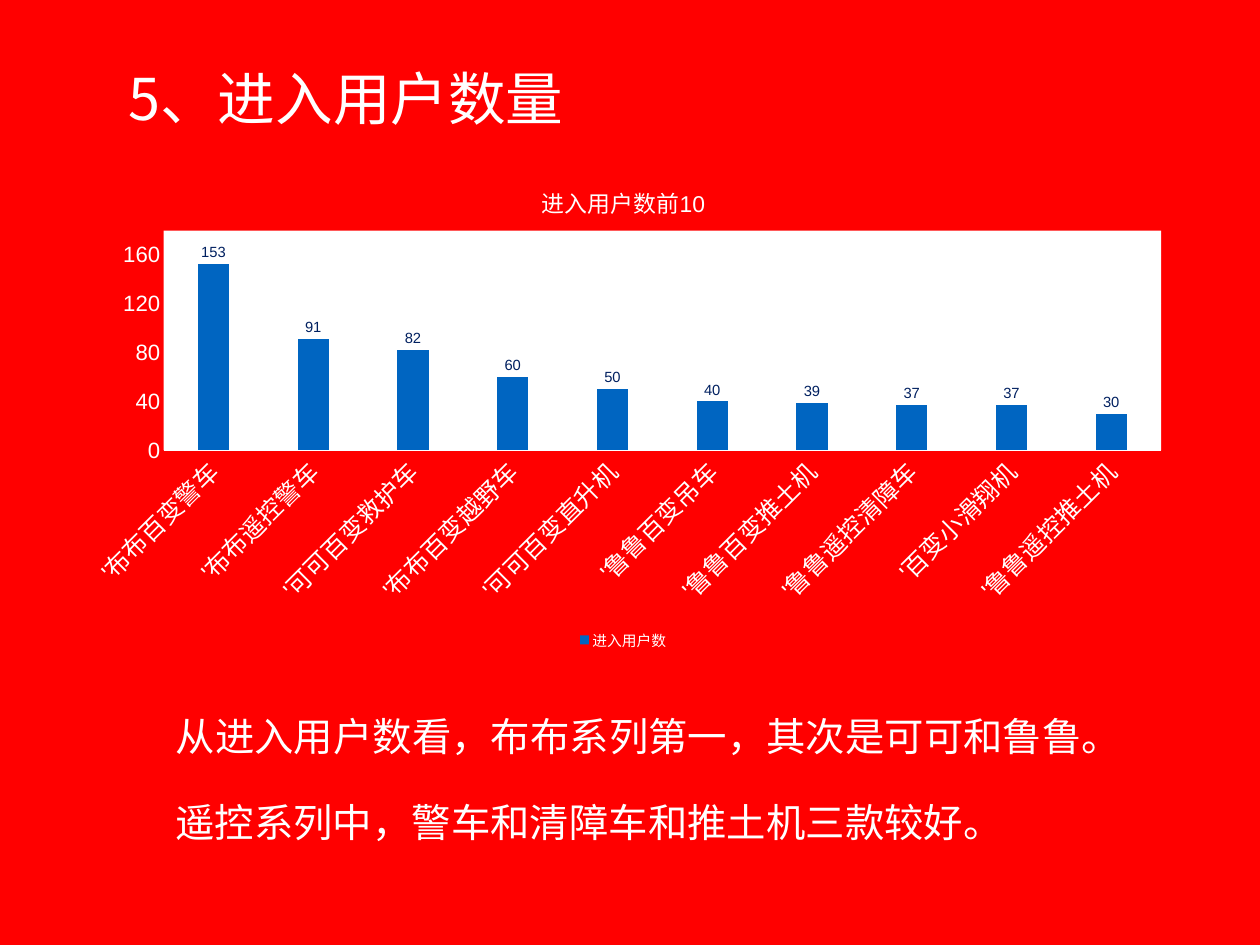
from lxml.etree import SubElement
from pptx import Presentation
from pptx.chart.data import CategoryChartData
from pptx.dml.color import RGBColor
from pptx.enum.chart import XL_CHART_TYPE, XL_LABEL_POSITION, XL_LEGEND_POSITION, XL_TICK_MARK
from pptx.enum.text import MSO_ANCHOR, MSO_AUTO_SIZE, PP_ALIGN
from pptx.oxml import parse_xml
from pptx.oxml.ns import nsdecls, qn
from pptx.util import Cm, Pt

RED = RGBColor(0xFF, 0x00, 0x00)
WHITE = RGBColor(0xFF, 0xFF, 0xFF)
BLUE = RGBColor(0x00, 0x65, 0xC1)
NAVY = RGBColor(0x00, 0x20, 0x60)

USERS_BY_TOY = {
    "'布布百变警车": 153,
    "'布布遥控警车": 91,
    "'可可百变救护车": 82,
    "'布布百变越野车": 60,
    "'可可百变直升机": 50,
    "'鲁鲁百变吊车": 40,
    "'鲁鲁百变推土机": 39,
    "'鲁鲁遥控清障车": 37,
    "'百变小滑翔机": 37,
    "'鲁鲁遥控推土机": 30,
}
PLOT_AREA = {"x": 0.09, "y": 0.135, "w": 0.89, "h": 0.448}


class SlideBuilder:
    text_font = "Noto Sans CJK SC"
    chart_font = "Arial"

    def __init__(self, slide):
        self.slide = slide
        slide.background.fill.solid()
        slide.background.fill.fore_color.rgb = RED

    def style(self, font, size, name, color=WHITE):
        font.size = Pt(size)
        font.name = name
        font.bold = False
        font.color.rgb = color

    def text(self, words, left, top, width, height, size, anchor, wrap):
        box = self.slide.shapes.add_textbox(Cm(left), Cm(top), Cm(width), Cm(height))
        frame = box.text_frame
        frame.word_wrap = wrap
        frame.vertical_anchor = anchor
        frame.margin_left = frame.margin_right = Cm(0.15)
        frame.margin_top = frame.margin_bottom = Cm(0.15)
        paragraph = frame.paragraphs[0]
        paragraph.text = words
        self.style(paragraph.font, size, self.text_font)
        for run in paragraph.runs:
            SubElement(run.font._element, qn("a:ea"), typeface=self.text_font)
        return frame

    def heading(self, words):
        frame = self.text(words, 3.53, 1.73, 29.06, 2.24, 46.8, MSO_ANCHOR.BOTTOM, True)
        frame.paragraphs[0].line_spacing = 0.9

    def remark(self, words, top, width):
        frame = self.text(words, 4.78, top, width, 1.65, 32, MSO_ANCHOR.MIDDLE, False)
        frame.auto_size = MSO_AUTO_SIZE.SHAPE_TO_FIT_TEXT
        frame.paragraphs[0].alignment = PP_ALIGN.CENTER

    def column_chart(self, title, series_name, values):
        data = CategoryChartData()
        data.categories = list(values)
        data.add_series(series_name, list(values.values()))
        chart = self.slide.shapes.add_chart(
            XL_CHART_TYPE.COLUMN_CLUSTERED, Cm(1.8), Cm(4.72), Cm(32.13), Cm(14.05), data
        ).chart
        self.style(chart.font, 10, self.chart_font)

        chart.has_title = True
        heading = chart.chart_title.text_frame.paragraphs[0]
        heading.text = title
        self.style(heading.font, 18.6, self.chart_font)
        chart.chart_title.include_in_layout = False

        chart.has_legend = True
        chart.legend.position = XL_LEGEND_POSITION.BOTTOM
        chart.legend.include_in_layout = False
        self.style(chart.legend.font, 12, self.chart_font)

        self.axes(chart)
        self.columns(chart.plots[0])
        self.plot_area(chart)

    def axes(self, chart):
        for axis, size in ((chart.category_axis, 20), (chart.value_axis, 18)):
            axis.major_tick_mark = axis.minor_tick_mark = XL_TICK_MARK.NONE
            self.style(axis.tick_labels.font, size, self.chart_font)
        toys, users = chart.category_axis, chart.value_axis
        toys._element.find(qn("c:txPr")).find(qn("a:bodyPr")).set("rot", "-2700000")
        users.minimum_scale, users.maximum_scale, users.major_unit = 0, 180, 40
        users.format.line.fill.background()
        users.has_major_gridlines = True
        for line in (toys.format.line, users.major_gridlines.format.line):
            line.color.rgb = WHITE
            line.width = Pt(0.75)

    def columns(self, plot):
        plot.gap_width = 219
        plot.overlap = -27
        plot.vary_by_categories = False
        series = plot.series[0]
        series.format.fill.solid()
        series.format.fill.fore_color.rgb = BLUE
        labels = series.data_labels
        labels.show_value = True
        labels.position = XL_LABEL_POSITION.OUTSIDE_END
        self.style(labels.font, 12, self.chart_font, NAVY)

    def plot_area(self, chart):
        area = chart._chartSpace.chart.plotArea
        for layout in area.findall(qn("c:layout")):
            area.remove(layout)
        modes = "".join(f'<c:{side}Mode val="edge"/>' for side in "xy")
        extents = "".join(f'<c:{side} val="{share}"/>' for side, share in PLOT_AREA.items())
        area.insert(0, parse_xml(
            f'<c:layout {nsdecls("c")}><c:manualLayout><c:layoutTarget val="inner"/>'
            f"{modes}{extents}</c:manualLayout></c:layout>"
        ))
        area.append(parse_xml(
            f'<c:spPr {nsdecls("c", "a")}><a:solidFill><a:srgbClr val="{WHITE}"/>'
            "</a:solidFill></c:spPr>"
        ))


def main():
    deck = Presentation()
    deck.slide_width, deck.slide_height = Cm(36.12), Cm(27.1)
    builder = SlideBuilder(deck.slides.add_slide(deck.slide_layouts[6]))
    builder.heading("5、进入用户数量")
    builder.column_chart("进入用户数前10", "进入用户数", USERS_BY_TOY)
    builder.remark("从进入用户数看，布布系列第一，其次是可可和鲁鲁。", 20.27, 27.64)
    builder.remark("遥控系列中，警车和清障车和推土机三款较好。", 22.73, 24.23)
    deck.save("out.pptx")


if __name__ == "__main__":
    main()
